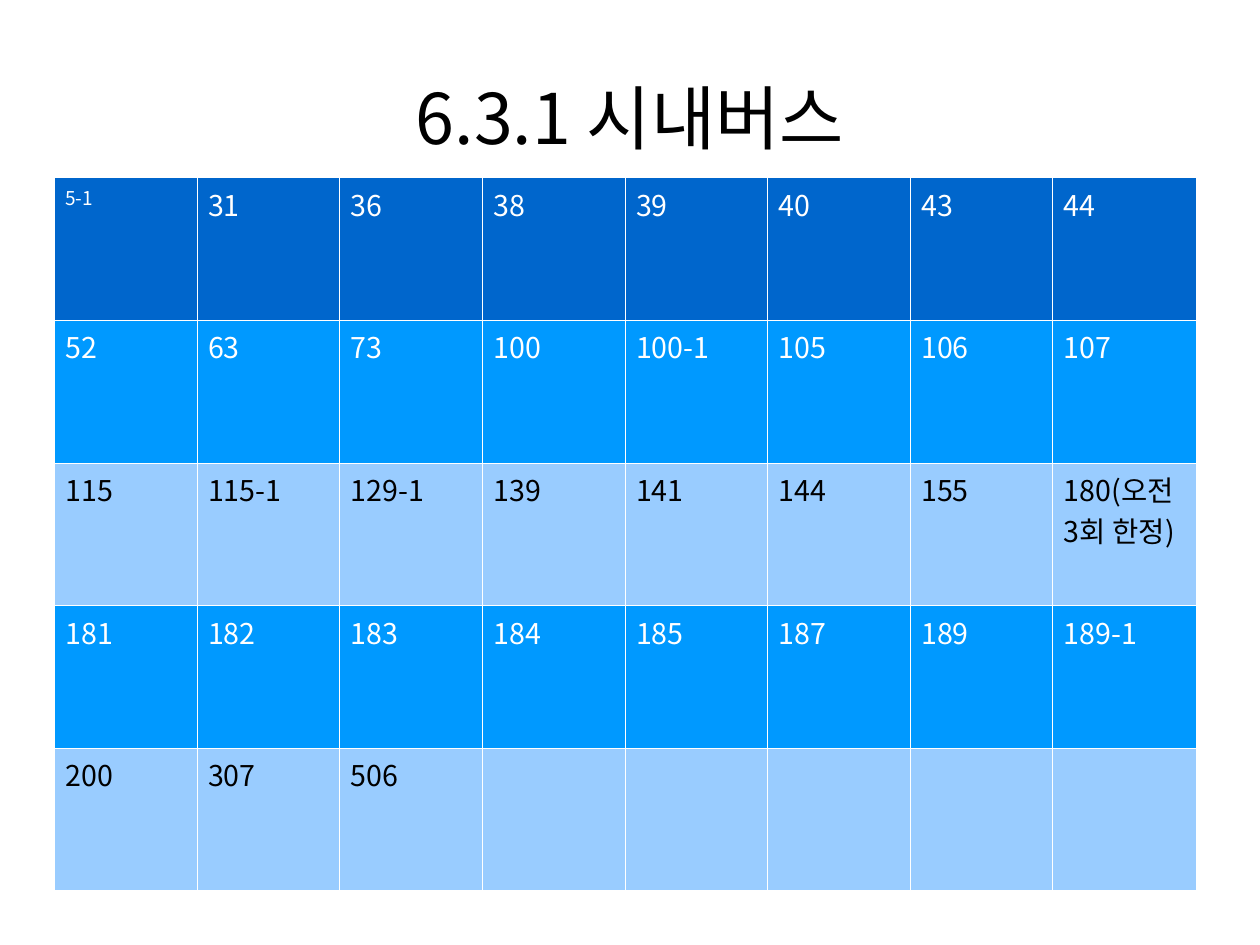
from lxml import etree
from pptx import Presentation
from pptx import util as u
from pptx.dml.color import RGBColor
from pptx.enum import text
from pptx.oxml.ns import qn

PX = u.Mm(1) // 10
FONT = "Noto Sans CJK KR"
COLORS = {
    "header": "0066CC",
    "strong": "0099FF",
    "light": "99CCFF",
    "white": "FFFFFF",
    "black": "000000",
}
BORDER_WIDTH = u.Pt(0.06)
COLUMN_COUNT = 8
CELL_SIZE = 317
LAST_COLUMN_WIDTH = 320
ROW_STYLES = [
    ("header", "white"),
    ("strong", "white"),
    ("light", "black"),
    ("strong", "white"),
    ("light", "black"),
]
BUS_ROUTES = [
    "5-1", "31", "36", "38", "39", "40", "43", "44",
    "52", "63", "73", "100", "100-1", "105", "106", "107",
    "115", "115-1", "129-1", "139", "141", "144", "155", "180(오전 3회 한정)",
    "181", "182", "183", "184", "185", "187", "189", "189-1",
    "200", "307", "506",
]


def px(length):
    return u.Emu(length * PX)


def rgb(name):
    return RGBColor.from_string(COLORS[name])


def add_run(paragraph, words, size, color):
    run = paragraph.add_run()
    run.text = words
    run.font.size = u.Pt(size)
    run.font.bold = False
    run.font.name = FONT
    run.font.color.rgb = rgb(color)
    latin = run.font._element.find(qn("a:latin"))
    latin.addnext(etree.Element(qn("a:ea"), typeface=FONT))


def add_title(slide, words):
    title = slide.shapes.title
    title.left, title.top, title.width, title.height = map(px, (140, 84, 2520, 351))
    frame = title.text_frame
    frame.margin_left = frame.margin_top = frame.margin_right = frame.margin_bottom = 0
    frame.word_wrap = True
    frame.auto_size = text.MSO_AUTO_SIZE.NONE
    frame.vertical_anchor = text.MSO_ANCHOR.MIDDLE
    paragraph = frame.paragraphs[0]
    paragraph.alignment = text.PP_ALIGN.CENTER
    add_run(paragraph, words, 44, "black")


def set_borders(cell):
    """Draw thin white lines; call before the fill, which must follow them in the XML."""
    properties = cell._tc.get_or_add_tcPr()
    for side in ("lnL", "lnR", "lnT", "lnB"):
        line = etree.SubElement(properties, qn(f"a:{side}"), w=str(BORDER_WIDTH))
        fill = etree.SubElement(line, qn("a:solidFill"))
        etree.SubElement(fill, qn("a:srgbClr"), val=COLORS["white"])


def add_route_table(slide):
    row_count = len(ROW_STYLES)
    frame = slide.shapes.add_table(
        row_count, COLUMN_COUNT, px(120), px(394),
        px(COLUMN_COUNT * CELL_SIZE), px(row_count * CELL_SIZE),
    )
    table = frame.table
    table.columns[COLUMN_COUNT - 1].width = px(LAST_COLUMN_WIDTH)
    for index, cell in enumerate(table.iter_cells()):
        fill, color = ROW_STYLES[index // COLUMN_COUNT]
        set_borders(cell)
        cell.fill.solid()
        cell.fill.fore_color.rgb = rgb(fill)
        if index < len(BUS_ROUTES):
            size = 12 if index == 0 else 18
            add_run(cell.text_frame.paragraphs[0], BUS_ROUTES[index], size, color)


def main():
    presentation = Presentation()
    presentation.slide_width = px(2800)
    presentation.slide_height = px(2100)
    slide = presentation.slides.add_slide(presentation.slide_layouts[5])
    add_title(slide, "6.3.1 시내버스")
    add_route_table(slide)
    presentation.save("out.pptx")


if __name__ == "__main__":
    main()
